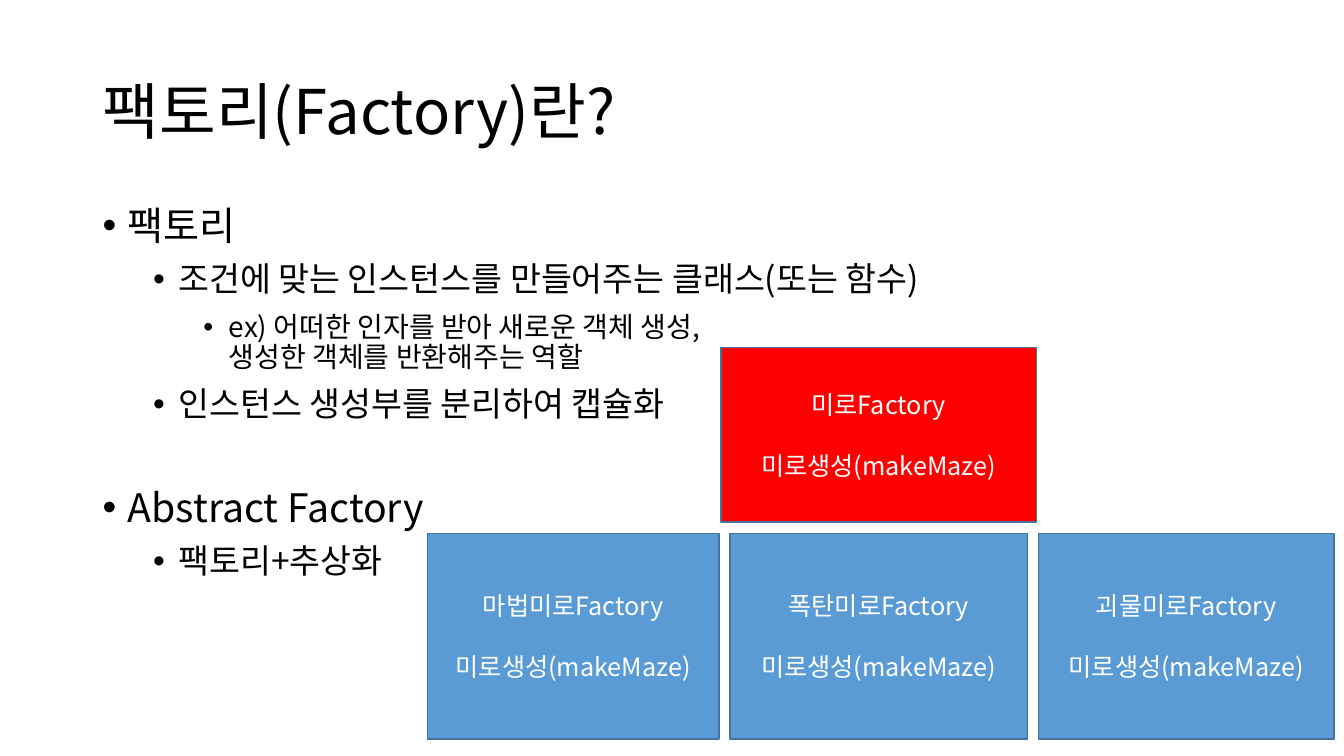
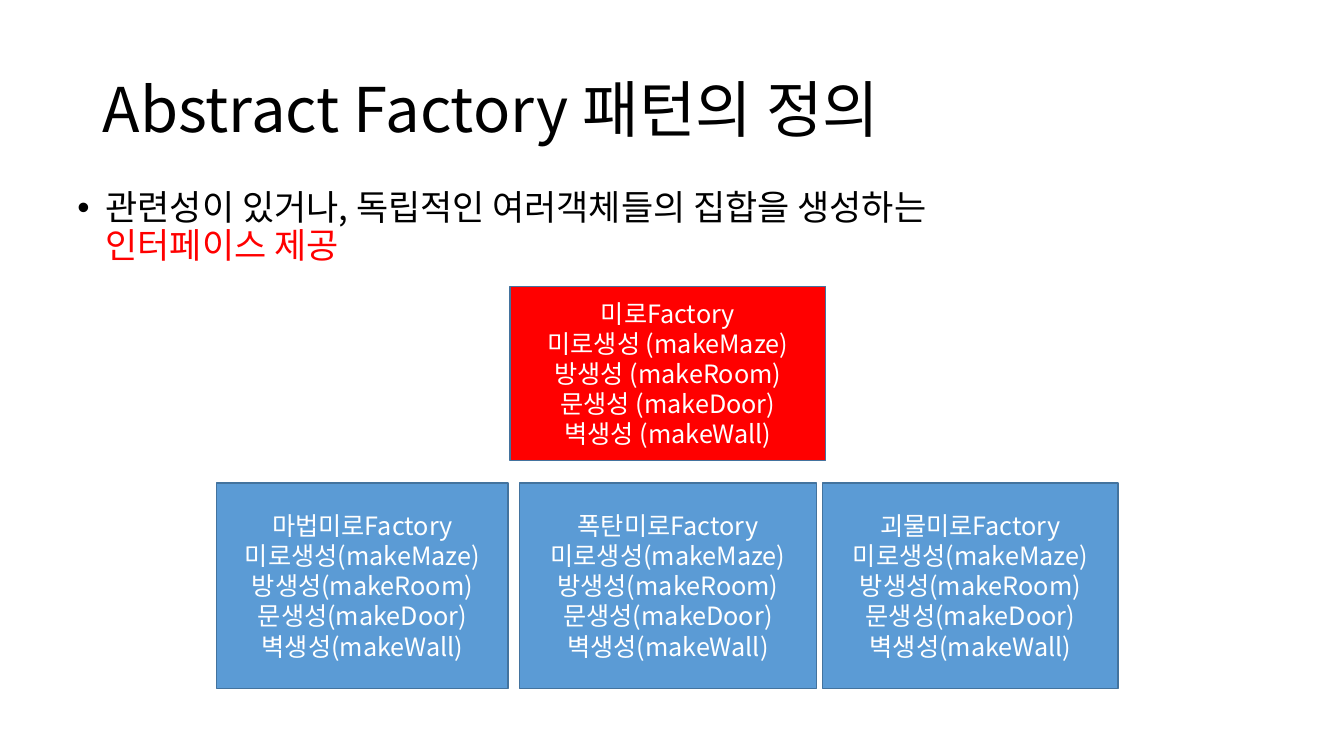
from lxml import etree
from pptx import Presentation
from pptx.dml.color import RGBColor
from pptx.enum.shapes import MSO_SHAPE
from pptx.enum.text import MSO_ANCHOR, PP_ALIGN
from pptx.oxml.ns import qn
from pptx.util import Pt

PX = 9144
FONT = "Noto Sans CJK KR"
BLACK = RGBColor(0x00, 0x00, 0x00)
WHITE = RGBColor(0xFF, 0xFF, 0xFF)
RED = RGBColor(0xFF, 0x00, 0x00)
BLUE = RGBColor(0x5B, 0x9B, 0xD5)
OUTLINE = RGBColor(0x43, 0x73, 0x9E)
RECT = MSO_SHAPE.RECTANGLE
MIDDLE, TOP = MSO_ANCHOR.MIDDLE, MSO_ANCHOR.TOP
LEFT, CENTER = PP_ALIGN.LEFT, PP_ALIGN.CENTER

TITLE_FORMAT = {"alignment": LEFT, "line_spacing": 0.9}
BODY_FORMAT = {"alignment": LEFT, "line_spacing": 0.9, "space_before": Pt(10)}
BOX_FORMAT = {"alignment": CENTER}

FACTORIES = ["마법미로Factory", "폭탄미로Factory", "괴물미로Factory"]
METHODS = ["미로생성(makeMaze)", "방생성(makeRoom)", "문생성(makeDoor)", "벽생성(makeWall)"]
BOX_WIDTHS = [289, 295, 293]

SLIDES = [
    {
        "title": ("팩토리(Factory)란?", 41),
        "body": (92, 200, 1150, 476),
        "bullets": [
            (25, 25, 28, 10, [("팩토리", BLACK)]),
            (75, 25, 24, 10, [("조건에 맞는 인스턴스를 만들어주는 클래스(또는 함수)", BLACK)]),
            (125, 25, 20, 10, [("ex) 어떠한 인자를 받아 새로운 객체 생성,", BLACK),
                               ("생성한 객체를 반환해주는 역할", BLACK)]),
            (75, 25, 24, 10, [("인스턴스 생성부를 분리하여 캡슐화", BLACK)]),
            (25, 25, 28, 46, [("Abstract Factory", BLACK)]),
            (75, 25, 24, 10, [("팩토리+추상화", BLACK)]),
        ],
        "parent": (715, 345, ["미로Factory", METHODS[0]]),
        "children": ([424, 724, 1030], 529, METHODS[:1]),
        "gap": 21.5,
    },
    {
        "title": ("Abstract Factory 패턴의 정의", 39),
        "body": (67, 184, 1191, 90),
        "bullets": [
            (28, 28, 25, 10, [("관련성이 있거나, 독립적인 여러객체들의 집합을 생성하는", BLACK),
                              ("인터페이스 제공", RED)]),
        ],
        "parent": (506, 284, ["미로Factory"] + [m.replace("(", " (") for m in METHODS]),
        "children": ([215, 515, 816], 479, METHODS),
        "gap": 0,
    },
]


def add_lines(p, lines, size, formats):
    for name, value in formats.items():
        setattr(p, name, value)
    for i, (text, color) in enumerate(lines):
        if i:
            p.add_line_break()
        r = p.add_run()
        r.text = text
        r.font.name = FONT
        r.font.size = Pt(size)
        r.font.color.rgb = color
        ea = etree.SubElement(r.font._element, qn("a:ea"))
        ea.set("typeface", FONT)


def add_frame(s, box, anchor, fill=None):
    box = [v * PX for v in box]
    if fill is None:
        sp = s.shapes.add_textbox(*box)
    else:
        sp = s.shapes.add_shape(RECT, *box)
        sp.shadow.inherit = False
        sp.fill.solid()
        sp.fill.fore_color.rgb = fill
        sp.line.color.rgb = OUTLINE
        sp.line.width = Pt(1)
    tf = sp.text_frame
    tf.word_wrap = True
    tf.vertical_anchor = anchor
    return tf


prs = Presentation()
prs.slide_width, prs.slide_height = 1333 * PX, 750 * PX

for spec_data in SLIDES:
    s = prs.slides.add_slide(prs.slide_layouts[6])

    title, top = spec_data["title"]
    tf = add_frame(s, (92, top, 1150, 145), MIDDLE)
    add_lines(tf.paragraphs[0], [(title, BLACK)], 44, TITLE_FORMAT)

    tf = add_frame(s, spec_data["body"], TOP)
    for i, (margin, hang, size, before, lines) in enumerate(spec_data["bullets"]):
        p = tf.add_paragraph() if i else tf.paragraphs[0]
        add_lines(p, lines, size, BODY_FORMAT | {"space_before": Pt(before)})
        pPr = p._p.get_or_add_pPr()
        pPr.set("marL", str(margin * PX))
        pPr.set("indent", str(-hang * PX))
        etree.SubElement(pPr, qn("a:buFont")).set("typeface", "Arial")
        etree.SubElement(pPr, qn("a:buChar")).set("char", "•")

    lefts, top, methods = spec_data["children"]
    boxes = [((x, top, w, 204), BLUE, [name] + methods)
             for x, w, name in zip(lefts, BOX_WIDTHS, FACTORIES)]
    x, y, texts = spec_data["parent"]
    boxes.append(((x, y, 313, 173), RED, texts))
    for box, fill, texts in boxes:
        tf = add_frame(s, box, MIDDLE, fill)
        for i, text in enumerate(texts):
            p = tf.add_paragraph() if i else tf.paragraphs[0]
            before = Pt(spec_data["gap"] if i else 0)
            add_lines(p, [(text, WHITE)], 18, BOX_FORMAT | {"space_before": before})

prs.save("out.pptx")
